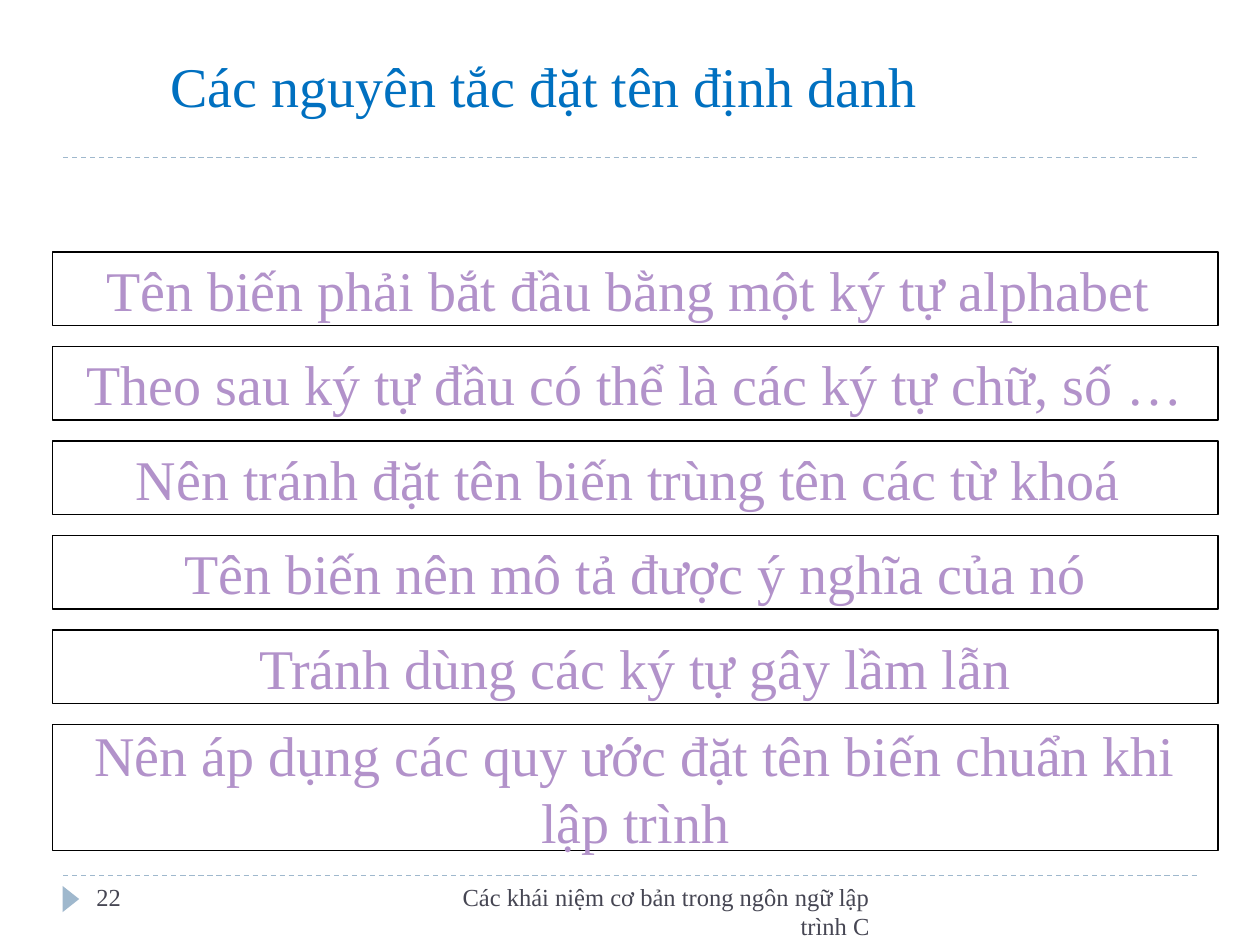
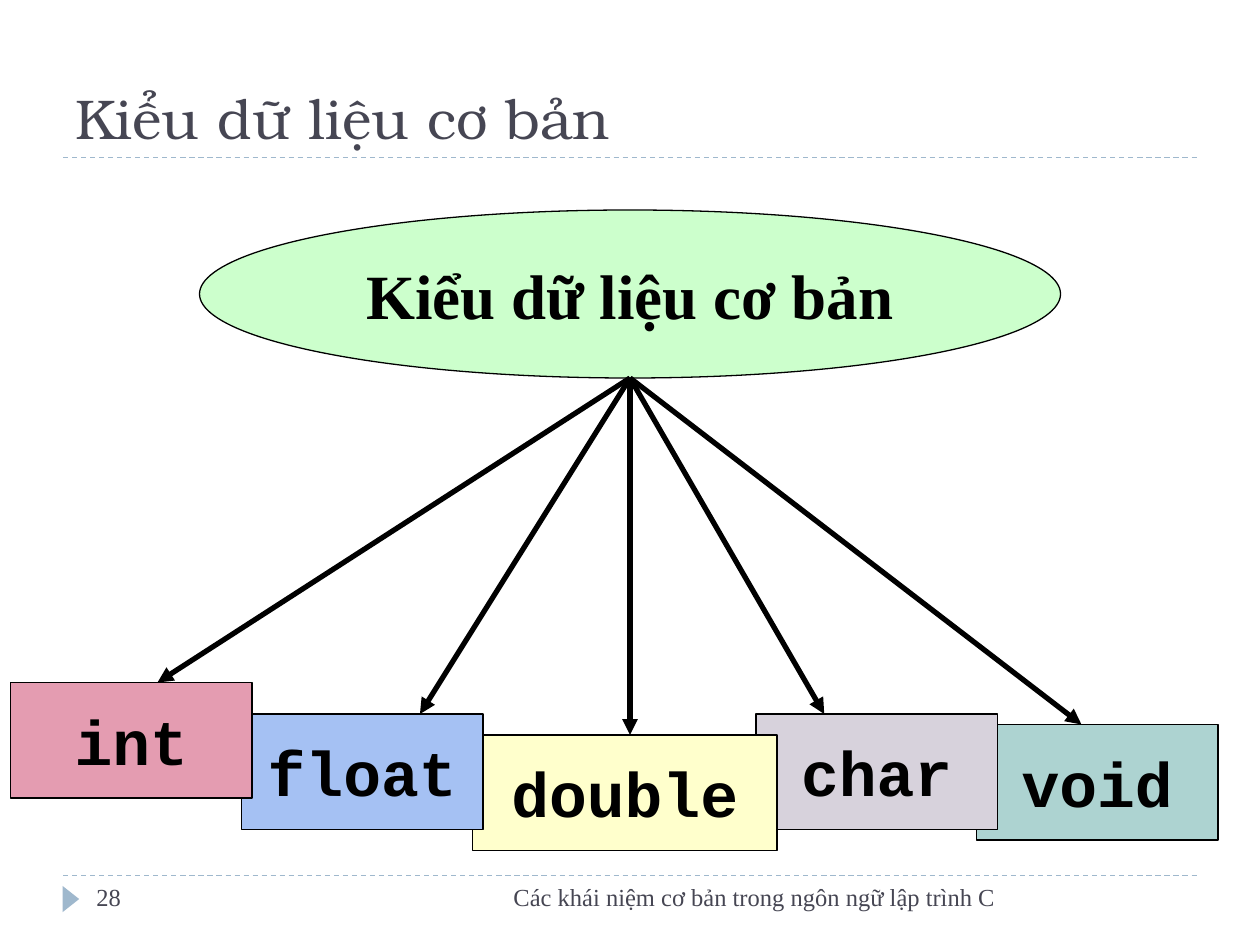
import pptx
import pptx.util
import pptx.dml.color
import pptx.enum.dml
import pptx.enum.shapes
import pptx.enum.text
import pptx.oxml
import pptx.oxml.ns

Pt = pptx.util.Pt
KIND = pptx.enum.shapes.MSO_SHAPE
ALIGN = pptx.enum.text.PP_ALIGN
ANCHOR = pptx.enum.text.MSO_ANCHOR

SERIF, MONO, BONUM = "Times New Roman", "Courier New", "TeX Gyre Bonum"
INK, BAND, BLUE, LILAC, BLACK = "464653", "9FB8CD", "0070C0", "B292CA", "000000"
FOOTER = "Các khái niệm cơ bản trong ngôn ngữ lập trình C"

RULES = [
    ("Tên biến phải bắt đầu bằng một ký tự alphabet ", False),
    ("Theo sau ký tự đầu có thể là các ký tự chữ, số …", True),
    ("Nên tránh đặt tên biến trùng tên các từ khoá ", False),
    ("Tên biến nên mô tả được ý nghĩa của nó", False),
    ("Tránh dùng các ký tự gây lầm lẫn", False),
    ("Nên áp dụng các quy ước đặt tên biến chuẩn khi lập trình", True),
]

ROOT = "Kiểu dữ liệu cơ bản"
TYPES = [
    ("void", 558, 414, 138, "ADD3D1", 618),
    ("char", 432, 408, 138, "D7D2DC", 471),
    ("double", 270, 420, 174, "FFFFCC", 360),
    ("float", 138, 408, 138, "A5C1F3", 240),
    ("int", 6, 390, 138, "E49CB1", 90),
]


def color(code):
    return pptx.dml.color.RGBColor.from_string(code)


def write(shape, text, font, size, code, align=ALIGN.LEFT,
          anchor=ANCHOR.TOP, bold=False, wrap=True):
    frame = shape.text_frame
    frame.text = text
    frame.word_wrap = wrap
    frame.auto_size = pptx.enum.text.MSO_AUTO_SIZE.NONE
    frame.vertical_anchor = anchor
    para = frame.paragraphs[0]
    para.alignment = align
    for run in para.runs:
        run.font.name = font
        run.font.size = Pt(size)
        run.font.bold = bold
        run.font.color.rgb = color(code)


def place(slide, kind, box, fill=None, edge=None):
    shape = slide.shapes.add_shape(kind, *map(Pt, box))
    shape.shadow.inherit = False
    if fill:
        shape.fill.solid()
        shape.fill.fore_color.rgb = color(fill)
    else:
        shape.fill.background()
    if edge:
        shape.line.color.rgb = color(edge)
        shape.line.width = Pt(0.75)
    else:
        shape.line.fill.background()
    return shape


def label(slide, box, text, align=ALIGN.LEFT):
    write(slide.shapes.add_textbox(*map(Pt, box)), text, SERIF, 14, INK, align)


def draw(slide, start, end, code, width):
    line = slide.shapes.add_connector(
        pptx.enum.shapes.MSO_CONNECTOR.STRAIGHT, *map(Pt, start + end))
    line.line.color.rgb = color(code)
    line.line.width = Pt(width)
    props = line._element.spPr
    props.append(pptx.oxml.parse_xml(
        "<a:effectLst %s/>" % pptx.oxml.ns.nsdecls("a")))
    return line


def arrow(slide, start, end):
    line = draw(slide, start, end, BLACK, 3)
    line.line._ln.append(pptx.oxml.parse_xml(
        '<a:tailEnd %s type="triangle"/>' % pptx.oxml.ns.nsdecls("a")))


def start(deck, number, wide, title, box, font, code, anchor):
    slide = deck.slides.add_slide(deck.slide_layouts[5])
    for y in (500.4, 90):
        line = draw(slide, (36, y), (684, y), BAND, 0.75)
        line.line.dash_style = pptx.enum.dml.MSO_LINE.DASH
    mark = place(slide, KIND.ISOSCELES_TRIANGLE, (33, 509, 15, 9.5), BAND)
    mark.rotation = 90
    head = slide.shapes.title
    head.left, head.top, head.width, head.height = map(Pt, box)
    write(head, title, font, 32, code, anchor=anchor)
    label(slide, (228, 500.4, wide, 29), FOOTER, ALIGN.RIGHT)
    label(slide, (48, 500.4, 156, 29), number)
    return slide


def naming(deck):
    slide = start(deck, "22", 276, "Các nguyên tắc đặt tên định danh",
                  (90, 26, 558, 46), SERIF, BLUE, ANCHOR.TOP)
    for row, (text, wrap) in enumerate(RULES):
        tall = 72 if row == len(RULES) - 1 else 42
        bar = place(slide, KIND.RECTANGLE, (30, 144 + 54 * row, 666, tall), edge=BLACK)
        write(bar, text, SERIF, 32, LILAC, ALIGN.CENTER, ANCHOR.MIDDLE, wrap=wrap)


def kinds(deck):
    slide = start(deck, "28", 348, ROOT, (36, 18, 648, 72),
                  BONUM, INK, ANCHOR.BOTTOM)
    oval = place(slide, KIND.OVAL, (114, 120, 492, 96), "CCFFCC", BLACK)
    write(oval, ROOT, SERIF, 36, BLACK, ALIGN.CENTER, ANCHOR.MIDDLE, True, False)
    for name, left, top, wide, fill, tip in TYPES:
        card = place(slide, KIND.RECTANGLE, (left, top, wide, 66), fill, BLACK)
        write(card, name, MONO, 36, BLACK, ALIGN.CENTER, ANCHOR.MIDDLE, True, False)
    for name, left, top, wide, fill, tip in TYPES:
        arrow(slide, (360, 216), (tip, top))


def main():
    deck = pptx.Presentation()
    deck.slide_width, deck.slide_height = Pt(720), Pt(540)
    naming(deck)
    kinds(deck)
    deck.save("out.pptx")


if __name__ == "__main__":
    main()
